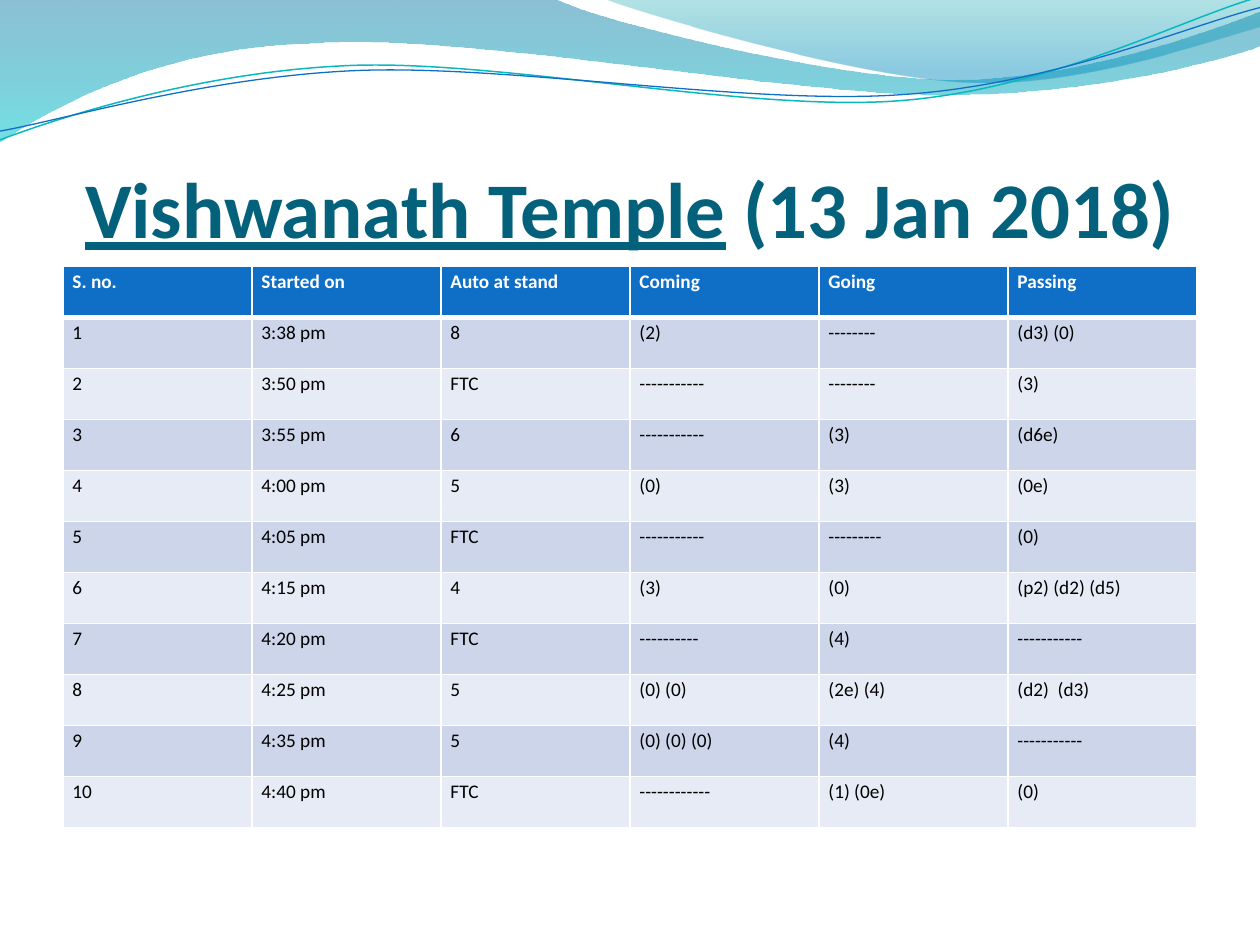
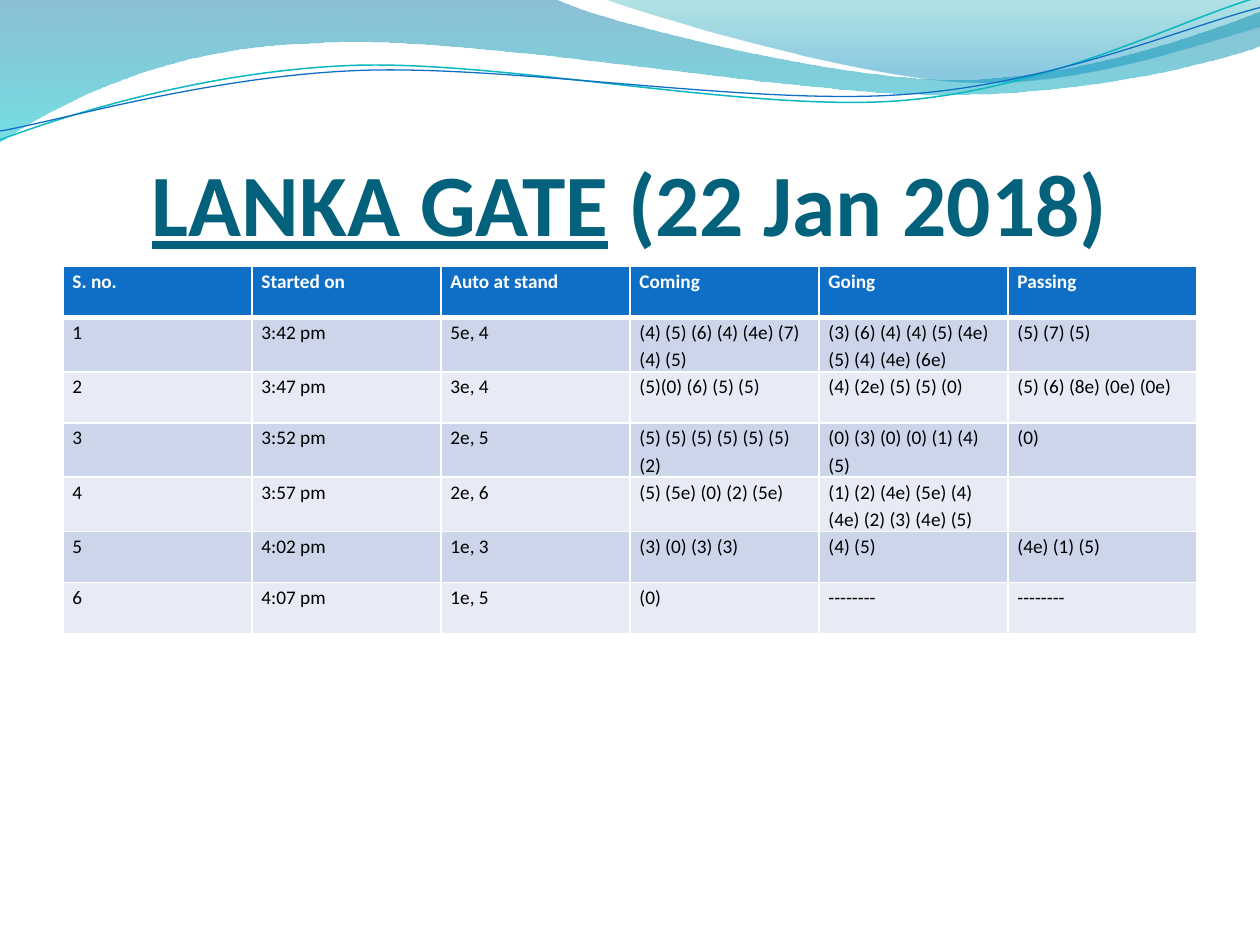
import math

from lxml import etree
from pptx import Presentation
from pptx import util as u
from pptx.dml.color import RGBColor
from pptx.enum import text
from pptx.oxml.ns import qn

PX = 4572  # EMU per px, 200 px to the inch
FONT = "Calibri"
WHITE, BLACK, TEAL, BLUE = "FFFFFF", "000000", "04617B", "0F6FC6"
BANDS = ("CCD5EA", "E7EBF5")
ROW_HEIGHT, COLUMN_WIDTH = 81, 300
STRAND_TILT = -2.7

# Outlines: a pair is a straight step, six numbers are a Bezier curve
BROAD_WAVE = [(0, 0), (880, -2), (952, 34, 1328, 126, 1516, 126),
              (1706, 126, 1916, 52, 2000, 18), (2002, 72),
              (1966, 88, 1740, 152, 1492, 150),
              (1244, 150, 764, 56, 514, 68), (258, 72, 92, 166, -2, 226), (0, 0)]
RIGHT_WAVE = [(958, -2), (1018, 22, 1364, 124, 1538, 130),
              (1712, 138, 1922, 64, 2000, 42), (2000, 0), (958, -2)]
TEAL_STRAND = [(0, 222), (96, 186, 316, 114, 554, 104),
               (790, 94, 1186, 178, 1426, 160),
               (1666, 142, 1876, 30, 1996, -4)]
BLUE_STRAND = [(0, 208), (94, 192, 328, 122, 566, 112),
               (806, 102, 1194, 168, 1434, 150),
               (1672, 134, 1882, 42, 2000, 12)]

HEADINGS = ["S. no.", "Started on", "Auto at stand", "Coming", "Going", "Passing"]
TEMPLE_COUNTS = [
    ["3:38 pm", "8", "(2)", "--------", "(d3) (0)"],
    ["3:50 pm", "FTC", "-----------", "--------", "(3)"],
    ["3:55 pm", "6", "-----------", "(3)", "(d6e)"],
    ["4:00 pm", "5", "(0)", "(3)", "(0e)"],
    ["4:05 pm", "FTC", "-----------", "---------", "(0)"],
    ["4:15 pm", "4", "(3)", "(0)", "(p2) (d2) (d5)"],
    ["4:20 pm", "FTC", "----------", "(4)", "-----------"],
    ["4:25 pm", "5", "(0) (0)", "(2e) (4)", "(d2)  (d3)"],
    ["4:35 pm", "5", "(0) (0) (0)", "(4)", "-----------"],
    ["4:40 pm", "FTC", "------------", "(1) (0e)", "(0)"],
]
GATE_COUNTS = [
    ["3:42 pm", "5e, 4", "(4) (5) (6) (4) (4e) (7) (4) (5)",
     "(3) (6) (4) (4) (5) (4e) (5) (4) (4e) (6e)", "(5) (7) (5)"],
    ["3:47 pm", "3e, 4", "(5)(0) (6) (5) (5)", "(4) (2e) (5) (5) (0)",
     "(5) (6) (8e) (0e) (0e)"],
    ["3:52 pm", "2e, 5", "(5) (5) (5) (5) (5) (5) (2)",
     "(0) (3) (0) (0) (1) (4) (5)", "(0)"],
    ["3:57 pm", "2e, 6", "(5) (5e) (0) (2) (5e)",
     "(1) (2) (4e) (5e) (4) (4e) (2) (3) (4e) (5)", ""],
    ["4:02 pm", "1e, 3", "(3) (0) (3) (3)", "(4) (5)", "(4e) (1) (5)"],
    ["4:07 pm", "1e, 5", "(0)", "--------", "--------"],
]


def px(*lengths):
    return [u.Emu(round(length * PX)) for length in lengths]


def colour(code):
    return RGBColor.from_string(code)


def pairs(step):
    return list(zip(step[::2], step[1::2]))


def turn(outline, degrees, centre):
    """Turn every point of an outline clockwise about a centre."""
    cos, sin = math.cos(math.radians(degrees)), math.sin(math.radians(degrees))
    cx, cy = centre
    turned = []
    for step in outline:
        turned.append(tuple(value for x, y in pairs(step) for value in (
            cx + (x - cx) * cos - (y - cy) * sin,
            cy + (x - cx) * sin + (y - cy) * cos)))
    return turned


class SurveyDeck:
    def __init__(self):
        self.deck = Presentation()
        self.deck.slide_width, self.deck.slide_height = px(2000, 1500)
        self.page = None

    def new_page(self):
        self.page = self.deck.slides.add_slide(self.deck.slide_layouts[6])
        self.wave(BROAD_WAVE, [(0, "0074A1", 45), (1, "00C6CF", 55)])
        self.wave(RIGHT_WAVE, [(0, "00A1A9", 30), (0.8, "008BBF", 45)])
        self.strand(TEAL_STRAND, (998, 115), "0AB8BF", 0.85)
        self.strand(BLUE_STRAND, (999, 118), BLUE, 0.75)

    def freeform(self, outline, close):
        points = [px(*point) for step in outline for point in pairs(step)]
        builder = self.page.shapes.build_freeform(*points[0], scale=1.0)
        builder.add_line_segments(points[1:], close=close)
        shape = builder.convert_to_shape()
        shape.shadow.inherit = False
        # Join each run of three straight steps into its Bezier curve
        lines = iter(list(shape._element.iter(qn("a:lnTo"))))
        for step in outline[1:]:
            line = next(lines)
            if len(step) == 6:
                curve = etree.Element(qn("a:cubicBezTo"))
                line.addprevious(curve)
                for part in (line, next(lines), next(lines)):
                    curve.append(part[0])
                    part.getparent().remove(part)
        return shape

    def wave(self, outline, stops):
        shape = self.freeform(outline, close=True)
        shape.line.fill.background()
        shape.fill.gradient()
        shape.fill.gradient_angle = 270
        for stop, (position, code, _) in zip(shape.fill.gradient_stops, stops):
            stop.position = position
            stop.color.rgb = colour(code)
        # Opacity of each stop
        for node, (_, _, opacity) in zip(shape._element.iter(qn("a:srgbClr")), stops):
            etree.SubElement(node, qn("a:alpha"), val=str(opacity * 1000))

    def strand(self, outline, centre, code, width):
        shape = self.freeform(turn(outline, -STRAND_TILT, centre), close=False)
        shape.rotation = STRAND_TILT
        shape.fill.background()
        shape.line.color.rgb = colour(code)
        shape.line.width = u.Pt(width)

    def style(self, span, size, code, bold, underline=False):
        font = span.font
        font.name, font.size, font.bold = FONT, u.Pt(size), bold
        font.underline = underline
        font.color.rgb = colour(code)

    def title(self, place, date, size):
        box = self.page.shapes.add_textbox(*px(100, 153, 1800, 250))
        frame = box.text_frame
        frame.word_wrap = True
        frame.vertical_anchor = text.MSO_ANCHOR.BOTTOM
        frame.margin_left, frame.margin_top, frame.margin_right, frame.margin_bottom = px(0, 10, 0, 0)
        para = frame.paragraphs[0]
        para.alignment = text.PP_ALIGN.CENTER
        para.text = place
        para.add_run().text = f" ({date})"
        for span, underline in zip(para.runs, (True, False)):
            self.style(span, size, TEAL, True, underline)

    def borders(self, cell, top, bottom):
        properties = cell._tc.get_or_add_tcPr()
        widths = {"a:lnL": 1, "a:lnR": 1, "a:lnT": top, "a:lnB": bottom}
        for index, (side, width) in enumerate(widths.items()):
            line = etree.Element(qn(side), w=str(u.Pt(width)))
            fill = etree.SubElement(line, qn("a:solidFill"))
            etree.SubElement(fill, qn("a:srgbClr"), val=WHITE)
            properties.insert(index, line)

    def cell(self, cell, words, row):
        header = row == 0
        cell.margin_left, cell.margin_top, cell.margin_right, cell.margin_bottom = px(15, 0, 15, 2)
        cell.fill.solid()
        cell.fill.fore_color.rgb = colour(BLUE if header else BANDS[(row - 1) % 2])
        self.borders(cell, 3 if row == 1 else 1, 3 if header else 1)
        cell.text_frame.text = words
        para = cell.text_frame.paragraphs[0]
        para.line_spacing = 1.15
        for span in para.runs:
            self.style(span, 11, WHITE if header else BLACK, header)

    def table(self, counts):
        rows = [HEADINGS] + [[str(number), *count] for number, count in enumerate(counts, 1)]
        size = px(COLUMN_WIDTH * len(HEADINGS), ROW_HEIGHT * len(rows))
        table = self.page.shapes.add_table(len(rows), len(HEADINGS), *px(100, 423), *size).table
        for r, row in enumerate(rows):
            for c, words in enumerate(row):
                self.cell(table.cell(r, c), words, r)


def main():
    survey = SurveyDeck()

    # Temple survey
    survey.new_page()
    survey.title("Vishwanath Temple", "13 Jan 2018", 45)
    survey.table(TEMPLE_COUNTS)

    # Gate survey
    survey.new_page()
    survey.title("LANKA GATE", "22 Jan 2018", 50)
    survey.table(GATE_COUNTS)

    survey.deck.save("out.pptx")


if __name__ == "__main__":
    main()
